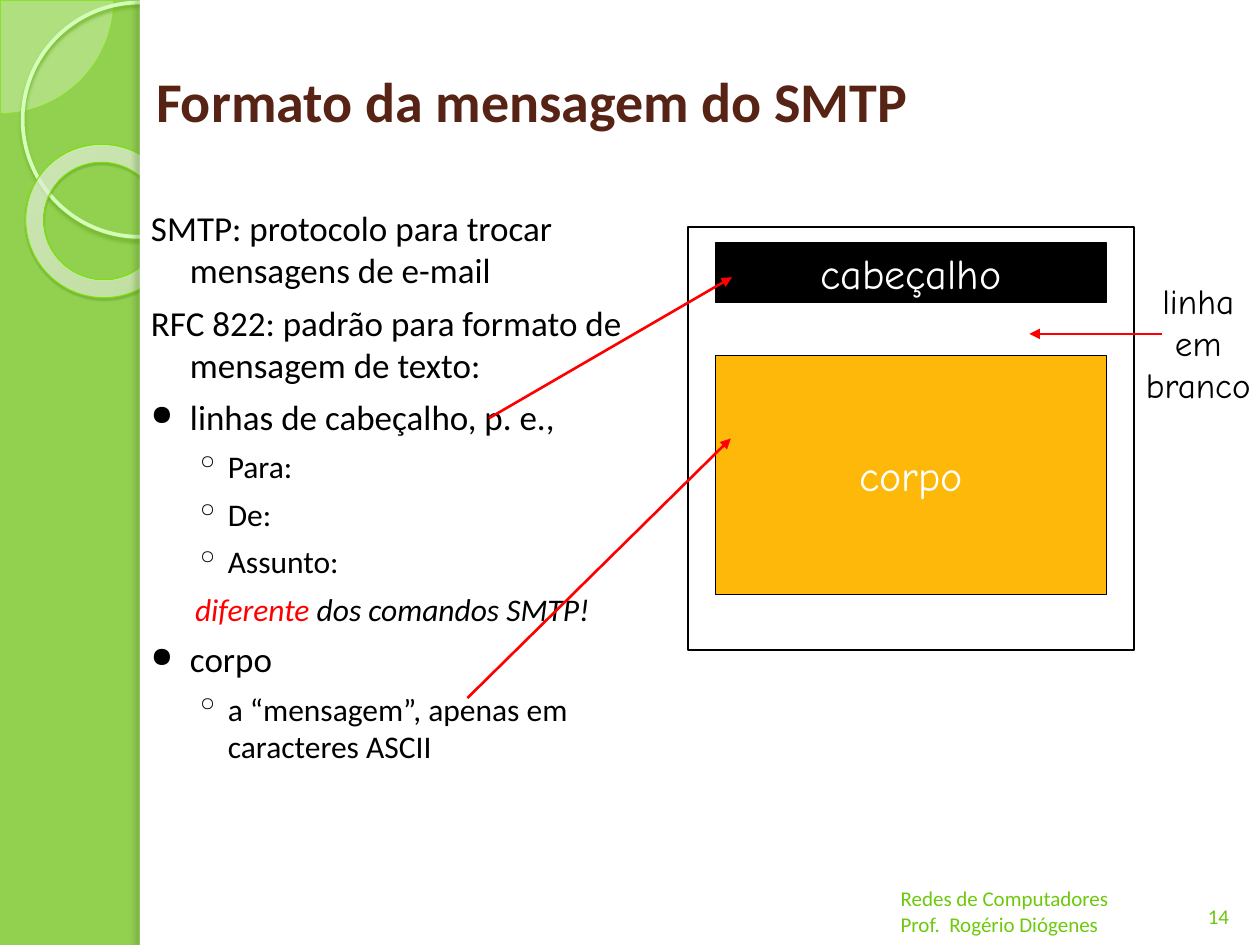
from dataclasses import dataclass

from pptx import Presentation, oxml, util as u
from pptx.dml.color import RGBColor
from pptx.enum import shapes, text
from pptx.oxml.ns import nsdecls

Box = shapes.MSO_SHAPE
Mid = text.MSO_ANCHOR.MIDDLE
Low = text.MSO_ANCHOR.BOTTOM
Center = text.PP_ALIGN.CENTER


@dataclass(frozen=True)
class Theme:
    green: str = "92D050"
    leaf: str = "EEFFE4"
    edge: str = "7FE90E"
    ring: str = "D3FFB6"
    rim: str = "77E403"
    foot: str = "6DC90C"
    brown: str = "572314"
    gold: str = "FEB80A"
    red: str = "FF0000"
    black: str = "000000"
    white: str = "FFFFFF"
    sans: str = "Calibri"
    comic: str = "Comic Neue"
    title: int = 32
    label: int = 24
    body: int = 20
    sub: int = 18
    small: int = 12


def node(tag, inner="", **attrs):
    pairs = "".join(f' {k}="{v}"' for k, v in attrs.items())
    return f"<a:{tag}{pairs}>{inner}</a:{tag}>"


def build(tag, inner="", **attrs):
    xml = node(tag, inner, **attrs)
    return oxml.parse_xml(xml.replace(f"<a:{tag}", f"<a:{tag} {nsdecls('a')}", 1))


def tint(color, alpha):
    return node("srgbClr", node("alpha", val=alpha * 1000), val=color)


class Deck:
    def __init__(self, theme):
        self.theme = theme
        self.file = Presentation()
        self.file.slide_width = u.Inches(10)
        self.file.slide_height = u.Inches(7.5)
        self.slide = self.file.slides.add_slide(self.file.slide_layouts[6])
        self.paint(self.slide.background.fill, theme.green)

    def paint(self, fill, color):
        if color:
            fill.solid()
            fill.fore_color.rgb = RGBColor.from_string(color)
        else:
            fill.background()

    def shape(self, kind, at, fill=None, line=None, width=1, adj=(), turn=0):
        item = self.slide.shapes.add_shape(kind, *map(u.Inches, at))
        item.shadow.inherit = False
        item.rotation = turn
        for i, value in enumerate(adj):
            item.adjustments[i] = value
        self.paint(item.fill, fill)
        self.paint(item.line.fill, line)
        if line:
            item.line.width = u.Pt(width)
        return item

    def fade(self, item, alpha):
        color = item.fill._xPr.find(".//" + oxml.ns.qn("a:srgbClr"))
        color.append(build("alpha", val=alpha * 1000))

    def glow(self, item, stops, rect):
        spot = item._element.spPr
        old = spot.find(oxml.ns.qn("a:noFill"))
        marks = "".join(node("gs", tint(c, a), pos=p * 1000) for p, c, a in stops)
        sides = {k: v * 1000 for k, v in zip("ltrb", rect)}
        blend = node("path", node("fillToRect", **sides), path="circle")
        spot.replace(old, build("gradFill", node("gsLst", marks) + blend))

    def shade(self, item, color, alpha, blur, dist, angle):
        effect = item._element.spPr.find(oxml.ns.qn("a:effectLst"))
        effect.append(build("outerShdw", tint(color, alpha), blurRad=u.Pt(blur),
                            dist=u.Pt(dist), dir=angle * 60000, algn="tl",
                            rotWithShape=0))

    def run(self, para, words, size, color, font=None, bold=False, slant=False):
        part = para.add_run()
        part.text = words
        face = part.font
        face.name = font or self.theme.sans
        face.size = u.Pt(size)
        face.bold = bold
        face.italic = slant
        face.color.rgb = RGBColor.from_string(color)

    def frame(self, at, anchor=text.MSO_ANCHOR.TOP, wrap=True):
        frame = self.slide.shapes.add_textbox(*map(u.Inches, at)).text_frame
        frame.word_wrap = wrap
        frame.vertical_anchor = anchor
        return frame

    def note(self, at, lines, anchor, align=None, wrap=True, **style):
        frame = self.frame(at, anchor, wrap)
        for i, words in enumerate(lines):
            para = frame.add_paragraph() if i else frame.paragraphs[0]
            para.alignment = align
            self.run(para, words, **style)

    def block(self, at, words, fill):
        t = self.theme
        frame = self.shape(Box.RECTANGLE, at, fill, t.black, 0.75).text_frame
        frame.word_wrap = False
        frame.vertical_anchor = Mid
        para = frame.paragraphs[0]
        para.alignment = Center
        self.run(para, words, t.label, t.white, t.comic)

    def item(self, para, level, mark, runs):
        t = self.theme
        left, hang, gap, size = [(0.4, -0.31, 6, t.body),
                                 (0.7, -0.26, 5.5, t.sub)][level]
        para.level = level
        para.space_before = u.Pt(gap)
        props = para._p.get_or_add_pPr()
        props.set("marL", str(u.Inches(left)))
        props.set("indent", str(u.Inches(hang)))
        if mark:
            props.append(build("buClr", node("srgbClr", val=t.black)))
            if not level:
                props.append(build("buSzPct", val=80000))
            props.append(build("buChar", char=mark))
        else:
            props.append(build("buNone"))
        for words, color, slant in runs:
            self.run(para, words, size, color, slant=slant)

    def list(self, at, items):
        frame = self.frame(at)
        for i, entry in enumerate(items):
            self.item(frame.add_paragraph() if i else frame.paragraphs[0], *entry)

    def arrow(self, start, end):
        line = self.slide.shapes.add_connector(
            shapes.MSO_CONNECTOR.STRAIGHT, *map(u.Inches, start + end))
        line.line.width = u.Pt(1.5)
        self.paint(line.line.fill, self.theme.red)
        line.line._get_or_add_ln().append(build("tailEnd", type="triangle"))
        line._element.spPr.append(build("effectLst"))


def main():
    t = Theme()
    deck = Deck(t)

    pie = deck.shape(Box.PIE, (-0.89, -0.89, 1.79, 1.79), t.leaf, t.edge, 0.25,
                     (0, 54))
    deck.fade(pie, 33)
    ring = deck.shape(Box.OVAL, (0.18, 0.02, 1.86, 1.86), None, t.ring, 2.15)
    deck.shade(ring, "6DB224", 85, 2, 2, 90)
    donut = deck.shape(Box.DONUT, (0.2, 1.15, 1.23, 1.21), None, t.rim, 0.58,
                       (0.118,), 38.6)
    deck.glow(donut, [(0, "F4FFEE", 70), (70, "FAFFF6", 55), (100, "83FE00", 60)],
              (-408, -50, 508, 150))
    deck.shade(donut, "366406", 35, 1, 1.2, 75)
    deck.shape(Box.RECTANGLE, (1.11, 0, 8.89, 7.5), t.white)
    strip = deck.shape(Box.RECTANGLE, (1.11, 0, 0.08, 7.5), t.white)
    deck.shade(strip, "496A25", 25, 3, 3, 180)

    deck.note((1.14, 0.17, 8.7, 1.25), ["Formato da mensagem do SMTP"], Mid,
              size=t.title, color=t.brown, bold=True)
    deck.note((9.42, 6.9, 0.5, 0.52), ["14"], Low, Center,
              size=t.small, color=t.foot)
    deck.note((7.05, 6.96, 2.76, 0.52),
              ["Redes de Computadores", "Prof.  Rogério Diógenes"], Low,
              size=t.small, color=t.foot)

    def plain(words):
        return [(words, t.black, False)]

    deck.list((1.01, 1.59, 4.17, 5.08), [
        (0, "", plain("SMTP: protocolo para trocar mensagens de e-mail")),
        (0, "", plain("RFC 822: padrão para formato de mensagem de texto:")),
        (0, "●", plain("linhas de cabeçalho, p. e.,")),
        *[(1, "◦", plain(name)) for name in ("Para:", "De:", "Assunto:")],
        (1, "", [("diferente ", t.red, True), ("dos comandos SMTP!", t.black, True)]),
        (0, "●", plain("corpo")),
        (1, "◦", plain("a “mensagem”, apenas em caracteres ASCII")),
    ])

    deck.block((5.68, 1.93, 3.1, 0.47), "cabeçalho", t.black)
    deck.block((5.68, 2.82, 3.1, 1.9), "corpo", t.gold)
    deck.shape(Box.RECTANGLE, (5.46, 1.8, 3.54, 3.36), None, t.black)
    deck.arrow((3.88, 3.32), (5.81, 2.2))
    deck.arrow((3.71, 5.54), (5.8, 3.48))
    deck.note((8.97, 2.17, 1.08, 1.1), ["linha", "em", "branco"],
              text.MSO_ANCHOR.TOP, Center, False,
              size=t.body, color=t.black, font=t.comic)
    deck.arrow((9.22, 2.65), (8.17, 2.65))

    deck.file.save("out.pptx")


if __name__ == "__main__":
    main()
